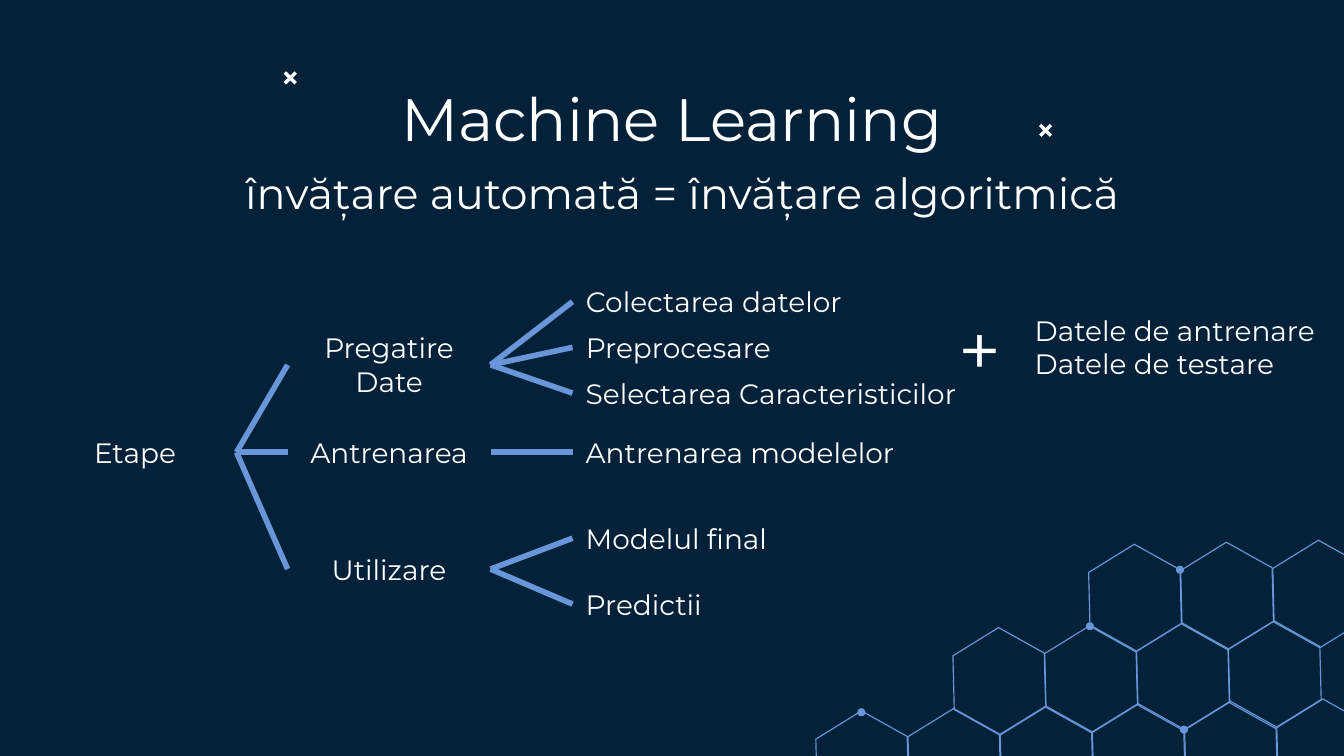
from dataclasses import dataclass

from lxml import etree
from pptx import Presentation
from pptx.dml.color import RGBColor
from pptx.enum.shapes import MSO_CONNECTOR, MSO_SHAPE
from pptx.enum.text import MSO_ANCHOR, MSO_AUTO_SIZE, PP_ALIGN
from pptx.oxml.ns import qn
from pptx.util import Inches, Pt

STRAIGHT = MSO_CONNECTOR.STRAIGHT
OVAL = MSO_SHAPE.OVAL
LEFT, CENTER = PP_ALIGN.LEFT, PP_ALIGN.CENTER
TOP, BOTTOM = MSO_ANCHOR.TOP, MSO_ANCHOR.BOTTOM
GROW, FIXED = MSO_AUTO_SIZE.SHAPE_TO_FIT_TEXT, MSO_AUTO_SIZE.NONE
LEFT_SIDE, RIGHT_SIDE = 1, 3


@dataclass(frozen=True)
class Theme:
    background: RGBColor = RGBColor(0x03, 0x21, 0x38)
    accent: RGBColor = RGBColor(0x69, 0x95, 0xD9)
    text: RGBColor = RGBColor(0xFF, 0xFF, 0xFF)
    font: str = "Montserrat"
    title_size: int = 32
    subtitle_size: int = 23
    body_size: int = 15
    plus_size: int = 40
    branch_width: float = 3
    cross_width: float = 1.84
    hexagon_width: float = 0.61


THEME = Theme()


@dataclass(frozen=True)
class Label:
    lines: tuple[str, ...]
    left: float
    top: float
    width: float
    height: float = 0.45
    size: int = THEME.body_size
    alignment: PP_ALIGN = CENTER
    anchor: MSO_ANCHOR = TOP
    fit: MSO_AUTO_SIZE = GROW


@dataclass(frozen=True)
class Stage:
    label: Label
    details: tuple[Label, ...]


@dataclass(frozen=True)
class HexagonRow:
    first: tuple[float, float]
    last: tuple[float, float]
    count: int


def stage_label(text: str, top: float, height: float = 0.45) -> Label:
    return Label((text,), 2.14, top, 1.51, height)


def detail_label(text: str, top: float, width: float) -> Label:
    return Label((text,), 4.26, top, width, alignment=LEFT)


HEADINGS = (
    Label(("Machine Learning",), 0, 0.41, 10, 0.83, THEME.title_size, anchor=BOTTOM, fit=FIXED),
    Label(("învățare automată = învățare algoritmică",), 1.35, 1.14, 7.46, 0.65,
          THEME.subtitle_size, fit=FIXED),
)
ROOT = Label(("Etape",), 0.25, 3.14, 1.51)
STAGES = (
    Stage(stage_label("Pregatire Date", 2.36, 0.71), (
        detail_label("Colectarea datelor", 2.02, 2.32),
        detail_label("Preprocesare", 2.36, 2.32),
        detail_label("Selectarea Caracteristicilor", 2.7, 3.04),
    )),
    Stage(stage_label("Antrenarea", 3.14), (
        detail_label("Antrenarea modelelor", 3.14, 2.63),
    )),
    Stage(stage_label("Utilizare", 4.01), (
        detail_label("Modelul final", 3.78, 2.63),
        detail_label("Predictii", 4.27, 2.63),
    )),
)
DATA_SETS = (
    Label(("Datele de antrenare", "Datele de testare"), 7.6, 2.23, 2.32, 0.71, alignment=LEFT),
    Label(("+",), 6.47, 2.15, 1.64, 0.88, THEME.plus_size),
)

HEXAGON_OFFSETS = ((0, 0), (0.01, 0.4), (0.35, 0.59), (0.69, 0.38), (0.68, -0.02), (0.34, -0.21))
HEXAGON_ROWS = (
    HexagonRow((6.07, 5.5), (9.5, 5.41), 6),
    HexagonRow((7.09, 4.88), (9.14, 4.83), 4),
    HexagonRow((8.1, 4.26), (9.47, 4.23), 3),
)
DOT_CENTERS = ((6.41, 5.3), (8.11, 4.66), (8.78, 4.24), (8.81, 5.43))
DOT_SIZE = 0.06
CROSS_CORNERS = ((2.12, 0.54), (7.74, 0.93))
CROSS_SIZE = 0.08


def add_label(slide, label: Label):
    shape = slide.shapes.add_textbox(
        Inches(label.left), Inches(label.top), Inches(label.width), Inches(label.height))
    frame = shape.text_frame
    frame.word_wrap = True
    frame.auto_size = label.fit
    frame.vertical_anchor = label.anchor
    frame.margin_left = frame.margin_right = Inches(0.1)
    frame.margin_top = frame.margin_bottom = Inches(0.1)
    for index, line in enumerate(label.lines):
        paragraph = frame.add_paragraph() if index else frame.paragraphs[0]
        paragraph.alignment = label.alignment
        run = paragraph.add_run()
        run.text = line
        run.font.name = THEME.font
        run.font.size = Pt(label.size)
        run.font.color.rgb = THEME.text
    return shape


def add_line(slide, start: tuple[float, float], end: tuple[float, float],
             color: RGBColor, width: float):
    connector = slide.shapes.add_connector(STRAIGHT, *map(Inches, start + end))
    connector.line.color.rgb = color
    connector.line.width = Pt(width)
    etree.SubElement(connector.element.spPr, qn("a:effectLst"))
    return connector


def add_branch(slide, parent, child) -> None:
    connector = add_line(slide, (0, 0), (0, 0), THEME.accent, THEME.branch_width)
    connector.begin_connect(parent, RIGHT_SIDE)
    connector.end_connect(child, LEFT_SIDE)


def add_cross(slide, left: float, top: float) -> None:
    right, bottom = left + CROSS_SIZE, top + CROSS_SIZE
    add_line(slide, (left, bottom), (right, top), THEME.text, THEME.cross_width)
    add_line(slide, (left, top), (right, bottom), THEME.text, THEME.cross_width)


def add_hexagon(slide, left: float, top: float) -> None:
    corners = [(Inches(left + x), Inches(top + y)) for x, y in HEXAGON_OFFSETS]
    builder = slide.shapes.build_freeform(*corners[0])
    builder.add_line_segments(corners[1:], close=True)
    shape = builder.convert_to_shape()
    shape.shadow.inherit = False
    shape.fill.background()
    shape.line.color.rgb = THEME.accent
    shape.line.width = Pt(THEME.hexagon_width)


def add_hexagon_row(slide, row: HexagonRow) -> None:
    for index in range(row.count):
        share = index / (row.count - 1)
        left, top = (start + (end - start) * share for start, end in zip(row.first, row.last))
        add_hexagon(slide, left, top)


def add_dot(slide, x: float, y: float) -> None:
    shape = slide.shapes.add_shape(
        OVAL, Inches(x - DOT_SIZE / 2), Inches(y - DOT_SIZE / 2), Inches(DOT_SIZE), Inches(DOT_SIZE))
    shape.shadow.inherit = False
    shape.fill.solid()
    shape.fill.fore_color.rgb = THEME.accent
    shape.line.fill.background()


def main() -> None:
    presentation = Presentation()
    presentation.slide_width = Inches(10)
    presentation.slide_height = Inches(10 * 9 / 16)
    slide = presentation.slides.add_slide(presentation.slide_layouts[6])
    slide.background.fill.solid()
    slide.background.fill.fore_color.rgb = THEME.background

    for row in HEXAGON_ROWS:
        add_hexagon_row(slide, row)
    for center in DOT_CENTERS:
        add_dot(slide, *center)
    for label in HEADINGS:
        add_label(slide, label)
    for corner in CROSS_CORNERS:
        add_cross(slide, *corner)

    root = add_label(slide, ROOT)
    for stage in STAGES:
        stage_shape = add_label(slide, stage.label)
        add_branch(slide, root, stage_shape)
        for detail in stage.details:
            add_branch(slide, stage_shape, add_label(slide, detail))
    for label in DATA_SETS:
        add_label(slide, label)

    presentation.save("out.pptx")


if __name__ == "__main__":
    main()
